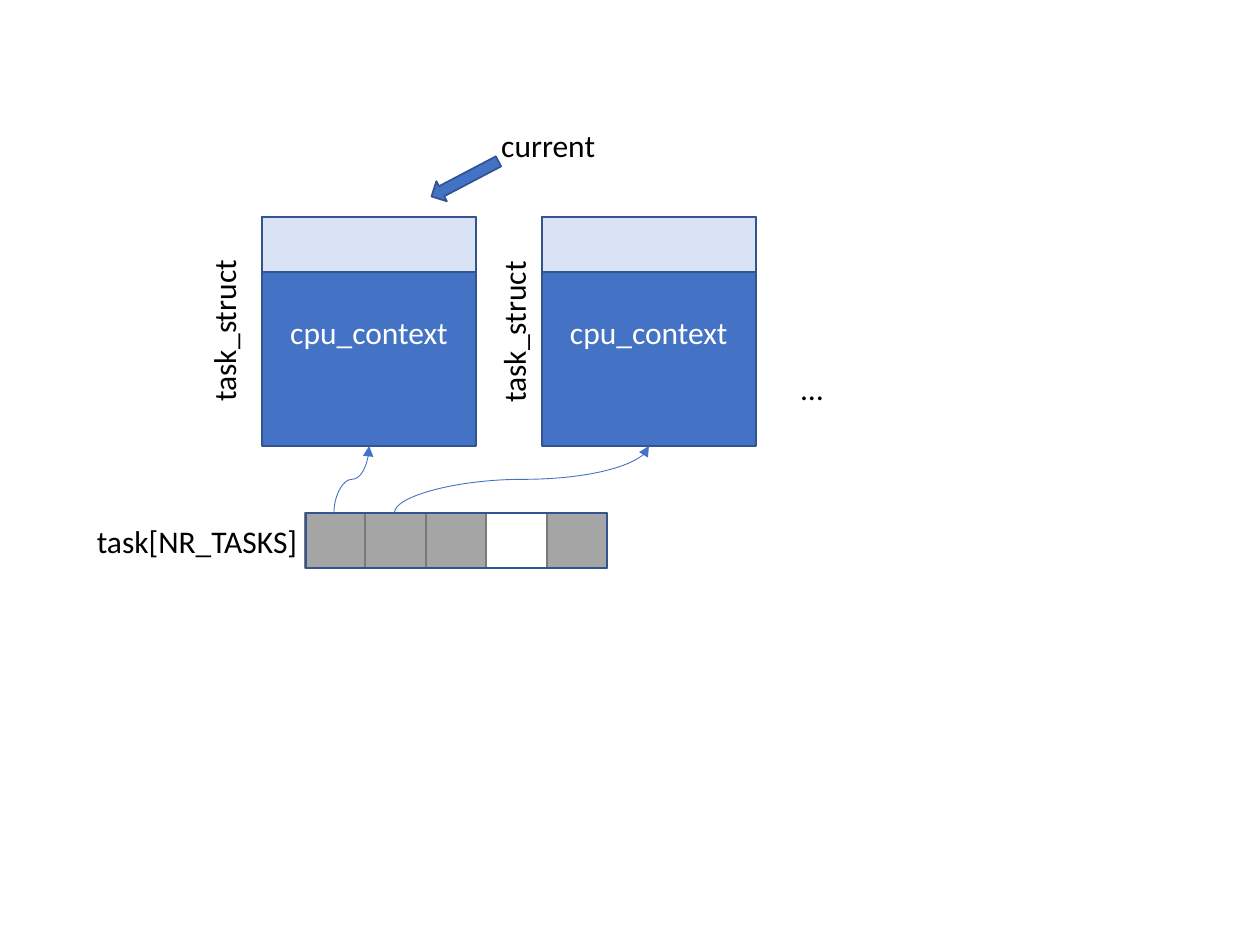
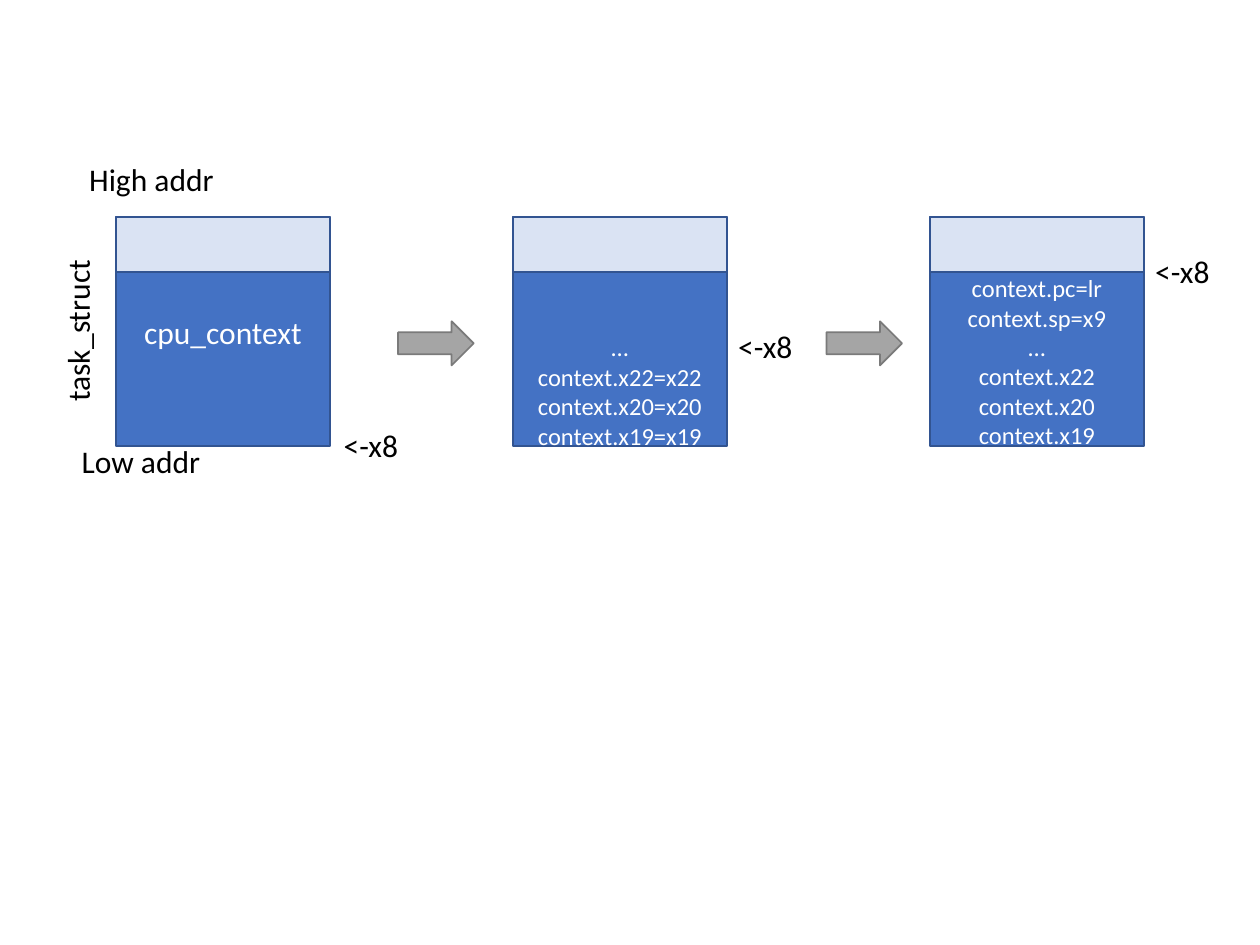
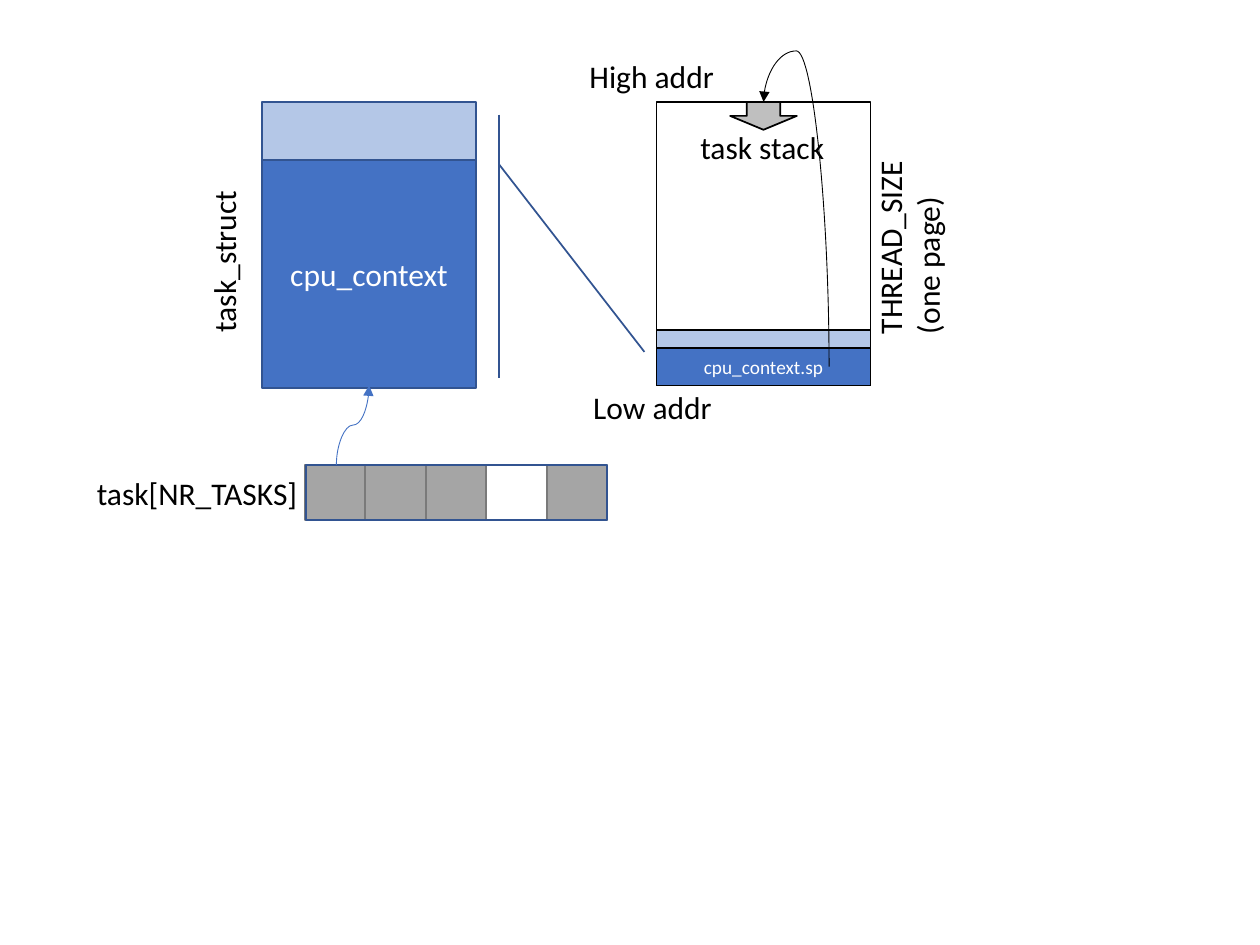
from pptx import Presentation
from pptx.dml.color import RGBColor
from pptx.enum.shapes import MSO_CONNECTOR, MSO_SHAPE as SHAPE
from pptx.enum.text import MSO_ANCHOR, MSO_AUTO_SIZE, PP_ALIGN
from pptx.oxml.ns import qn
from pptx.util import Inches, Pt
from lxml import etree

# Shared style
FONT = "Calibri"
BLUE = RGBColor(0x44, 0x72, 0xC4)
NAVY = RGBColor(0x32, 0x54, 0x91)
PALE = RGBColor(0xDA, 0xE3, 0xF3)
LIGHT = RGBColor(0xB4, 0xC7, 0xE7)
GRAY = RGBColor(0xA5, 0xA5, 0xA5)
DARK_GRAY = RGBColor(0x7A, 0x7A, 0x7A)
SILVER = RGBColor(0xBF, 0xBF, 0xBF)
BLACK = RGBColor(0, 0, 0)
WHITE = RGBColor(0xFF, 0xFF, 0xFF)

# Shared sizes, in inches
TASK_W, TASK_H, HEAD_H, TASK_TOP = 1.7, 1.82, 0.44, 1.72
CELL_W, CELL_H, ARRAY_X, ARRAY_W = 0.48, 0.44, 2.42, 2.39
USED_CELLS = (0, 1, 2, 4)
LABEL_H = 0.4
LINE_14 = 0.237  # height of one 14 pt line

# Content: labels are (text, left, top, width)
TASK_ARRAY_TOPS = {1: 4.07, 3: 3.69}
TASK_XS = (2.08, 4.3)
LABELS = {
    1: [("current", 3.88, 0.95, 0.96), ("…", 6.26, 2.88, 0.38)],
    2: [("<-x8", 2.63, 3.33, 0.64), ("<-x8", 5.76, 2.55, 0.64),
        ("<-x8", 9.07, 1.95, 0.64), ("Low addr", 0.55, 3.46, 1.15),
        ("High addr", 0.61, 1.22, 1.2)],
    3: [("Low addr", 4.61, 3.03, 1.15), ("High addr", 4.58, 0.4, 1.2),
        ("task stack", 5.46, 0.97, 1.19)],
}
STRUCT_LABELS = {1: [(1.11, 2.42), (3.41, 2.43)], 2: [(-0.05, 2.42)], 3: [(1.11, 1.87)]}
# Save steps: (left, lines of context, free lines above them)
SAVE_STEPS = [
    (4.07, ["…", "context.x22=x22", "context.x20=x20", "context.x19=x19"], 4),
    (7.38, ["context.pc=lr", "context.sp=x9", "…",
            "context.x22", "context.x20", "context.x19"], 2),
]
STEP_ARROW_XS = (3.16, 6.56)


def write(sp, lines, size, color, align):
    tf = sp.text_frame
    tf.text = "\n".join(lines)
    for p in tf.paragraphs:
        p.alignment = align
        for r in p.runs:
            r.font.name, r.font.size = FONT, Pt(size)
            r.font.color.rgb = color
    return tf


def shape(slide, kind, x, y, w, h, fill, line=NAVY, lines=(), size=18):
    sp = slide.shapes.add_shape(kind, Inches(x), Inches(y), Inches(w), Inches(h))
    sp.shadow.inherit = False
    if fill is None:
        sp.fill.background()
    else:
        sp.fill.solid()
        sp.fill.fore_color.rgb = fill
    sp.line.color.rgb = line
    sp.line.width = Pt(1)
    if lines:
        tf = write(sp, lines, size, WHITE, PP_ALIGN.CENTER)
        tf.vertical_anchor = MSO_ANCHOR.MIDDLE
    return sp


def label(slide, text, x, y, w, h=LABEL_H, rotation=0):
    sp = slide.shapes.add_textbox(Inches(x), Inches(y), Inches(w), Inches(h))
    tf = write(sp, text.split("\n"), 18, BLACK, PP_ALIGN.LEFT)
    tf.word_wrap = False
    tf.auto_size = MSO_AUTO_SIZE.SHAPE_TO_FIT_TEXT
    sp.rotation = rotation


def curve(slide, x1, y1, x2, y2, color, bend=0.5):
    """Rising curved arrow that leaves and arrives vertically."""
    cx, cy = (x1 + x2) / 2, (y1 + y2) / 2
    half_w, half_h = (y1 - y2) / 2, abs(x2 - x1) / 2
    angle = 90 if x2 > x1 else 270
    if angle == 270:
        half_w = -half_w
    sp = slide.shapes.add_connector(
        MSO_CONNECTOR.CURVE, Inches(cx + half_w), Inches(cy + half_h),
        Inches(cx - half_w), Inches(cy - half_h))
    sp.line.color.rgb = color
    sp.line.width = Pt(0.5)
    props = sp._element.spPr
    props.find(qn("a:xfrm")).set("rot", str(angle * 60000))
    guides = props.find(qn("a:prstGeom")).find(qn("a:avLst"))
    etree.SubElement(guides, qn("a:gd"), name="adj1", fmla=f"val {round(bend * 100000)}")
    etree.SubElement(props.find(qn("a:ln")), qn("a:tailEnd"), type="triangle")
    etree.SubElement(props, qn("a:effectLst"))


def task(slide, x, lines=("cpu_context",), size=18, free_lines=0):
    sp = shape(slide, SHAPE.RECTANGLE, x, TASK_TOP, TASK_W, TASK_H, BLUE,
               lines=lines, size=size)
    sp.text_frame.margin_top = Inches(0.05 + free_lines * LINE_14)
    shape(slide, SHAPE.RECTANGLE, x, TASK_TOP, TASK_W, HEAD_H, PALE)


def task_array(slide, y):
    for i in USED_CELLS:
        shape(slide, SHAPE.RECTANGLE, ARRAY_X + i * CELL_W, y, CELL_W, CELL_H,
              GRAY, DARK_GRAY)
    shape(slide, SHAPE.RECTANGLE, ARRAY_X + 0.01, y, ARRAY_W, CELL_H, None)
    label(slide, "task[NR_TASKS]", 0.67, y + 0.02, 1.81)


def add_labels(slide, number):
    for item in LABELS[number]:
        label(slide, *item)
    for x, y in STRUCT_LABELS[number]:
        label(slide, "task_struct", x, y, 1.33, rotation=270)


prs = Presentation()
prs.slide_width, prs.slide_height = Inches(10), Inches(7.5)
tasks, saving, stack = [prs.slides.add_slide(prs.slide_layouts[6]) for _ in range(3)]

# Slide 1: task array pointing to task structs
task_array(tasks, TASK_ARRAY_TOPS[1])
for i, x in enumerate(TASK_XS):
    task(tasks, x)
    curve(tasks, 2.65 + i * CELL_W, TASK_ARRAY_TOPS[1],
          x + TASK_W / 2, TASK_TOP + TASK_H, BLUE)
current = shape(tasks, SHAPE.RIGHT_ARROW, 3.39, 1.33, 0.6, 0.18, BLUE)
current.rotation = 152.3
add_labels(tasks, 1)

# Slide 2: saving registers step by step
task(saving, 0.92)
for x, lines, free_lines in SAVE_STEPS:
    task(saving, x, lines, 14, free_lines)
for x in STEP_ARROW_XS:
    shape(saving, SHAPE.RIGHT_ARROW, x, 2.55, 0.6, 0.35, GRAY, DARK_GRAY)
add_labels(saving, 2)

# Slide 3: task struct inside its memory page
PAGE_X, PAGE_Y, PAGE_H = 5.21, 0.81, 2.25
page_mid, page_end = PAGE_X + TASK_W / 2, PAGE_Y + PAGE_H
shape(stack, SHAPE.RECTANGLE, TASK_XS[0], PAGE_Y, TASK_W, PAGE_H, LIGHT)
task_array(stack, TASK_ARRAY_TOPS[3])
shape(stack, SHAPE.RECTANGLE, TASK_XS[0], 1.27, TASK_W, 1.81, BLUE, lines=["cpu_context"])
curve(stack, 2.67, TASK_ARRAY_TOPS[3], TASK_XS[0] + TASK_W / 2, page_end, BLUE)

for y, fill, lines in [(PAGE_Y, WHITE, ()), (2.62, LIGHT, ()),
                       (2.76, BLUE, ["cpu_context.sp"])]:
    shape(stack, SHAPE.RECTANGLE, PAGE_X, y, TASK_W, page_end - y, fill, BLACK, lines, 11)
callout = shape(stack, SHAPE.LINE_CALLOUT_1_ACCENT_BAR, 4.01, 0.91, 0.61, 2.09, None)
for i, value in enumerate((0.188, -0.083, 0.901, 1.812)):
    callout.adjustments[i] = value
curve(stack, 6.58, 2.91, page_mid, PAGE_Y, BLACK, bend=1.193)
shape(stack, SHAPE.DOWN_ARROW, page_mid - 0.265, PAGE_Y, 0.53, 0.22, SILVER, BLACK)
label(stack, "THREAD_SIZE\n(one page)", 6.42, 1.6, 1.59, 0.71, 270)
add_labels(stack, 3)

prs.save("out.pptx")
